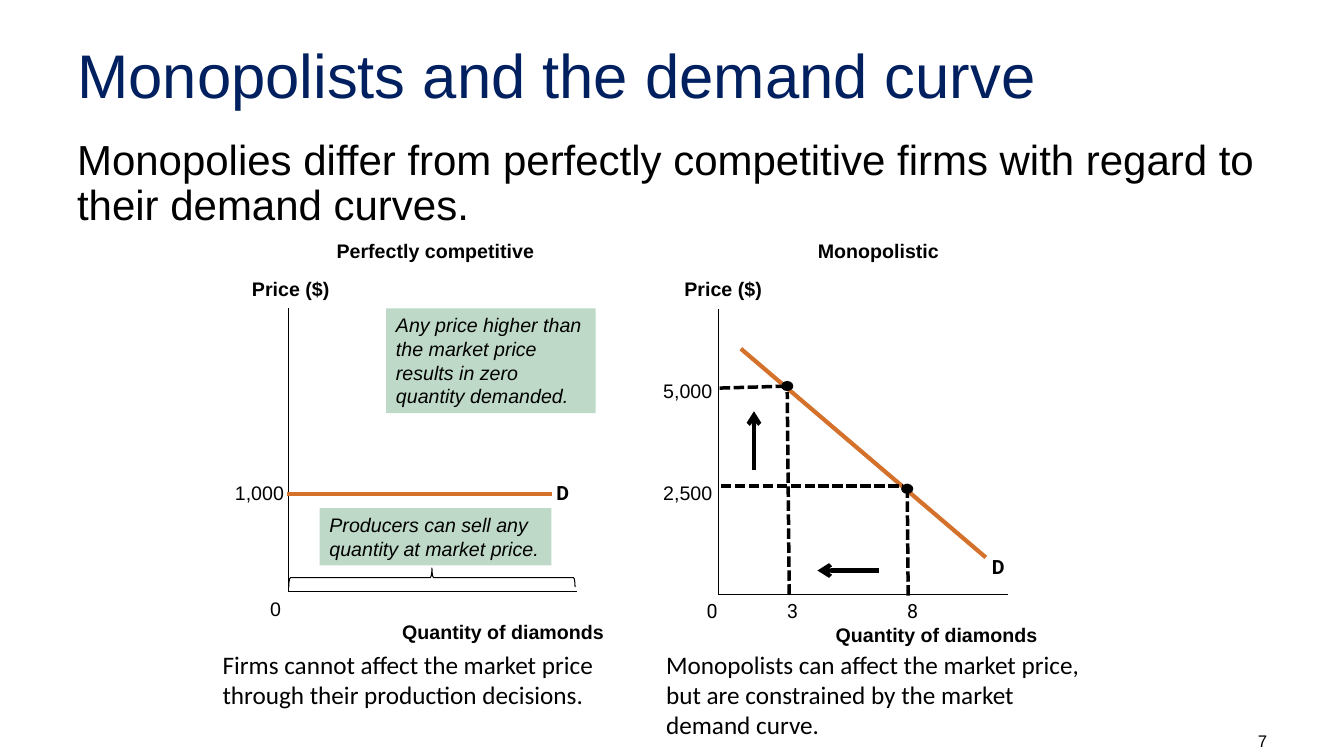
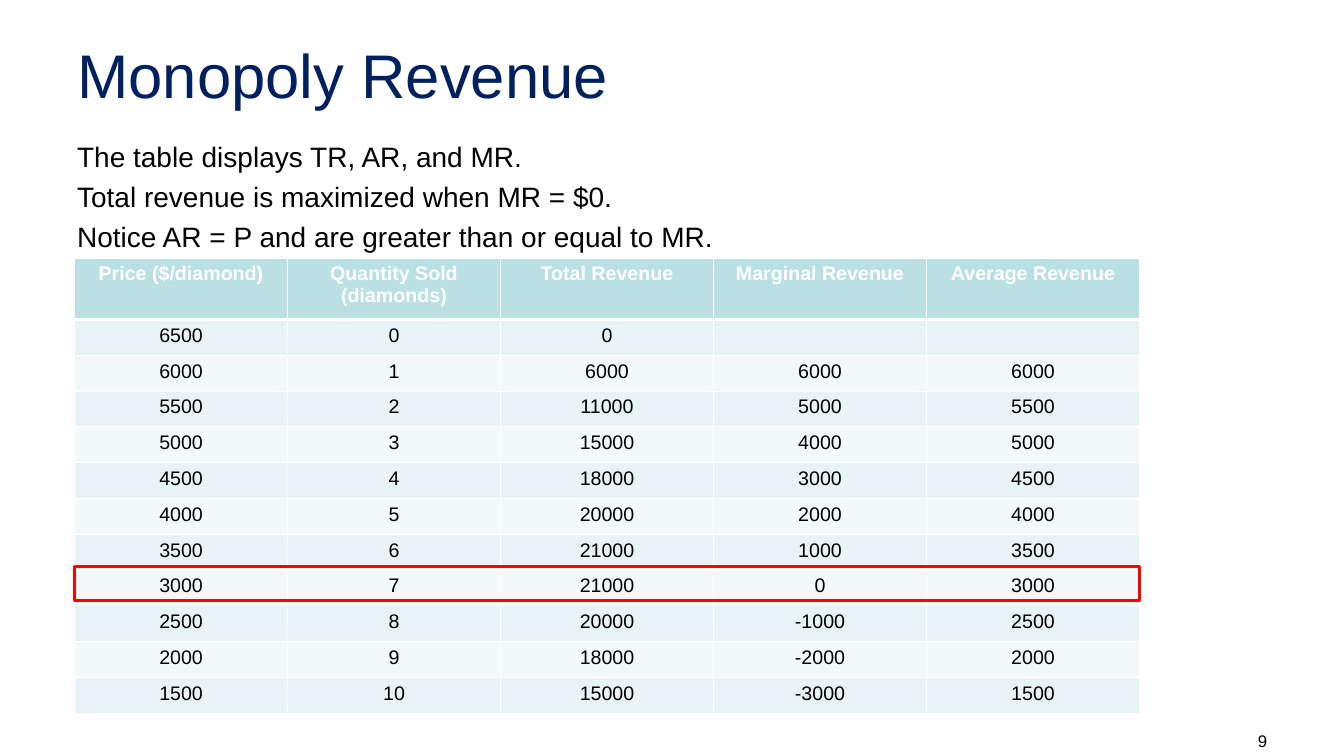
from dataclasses import dataclass

from lxml import etree
from pptx import Presentation
from pptx import util as u
from pptx.dml.color import RGBColor
from pptx.enum import dml, shapes, text
from pptx.oxml.ns import qn

# The slide is a grid of square units: 80 columns by 45 rows.
COLS, ROWS = 80, 45
UNIT = u.Inches(1) // 6
TITLE_ONLY = 5
LABEL_ROWS = 1.44

BLACK, WHITE, NAVY, RED = "000000", "FFFFFF", "002060", "FF0000"
DEMAND, NOTE = "D4712B", "BED9C7"
HEADER, BANDS = "BBE0E3", ("E7F3F4", "F3F9FA")

LEFT, CENTER, RIGHT = text.PP_ALIGN.LEFT, text.PP_ALIGN.CENTER, text.PP_ALIGN.RIGHT
TOP, MIDDLE, BOTTOM = text.MSO_ANCHOR.TOP, text.MSO_ANCHOR.MIDDLE, text.MSO_ANCHOR.BOTTOM


@dataclass(frozen=True)
class Box:
    """A rectangle in grid units."""
    col: float
    row: float
    cols: float
    rows: float

    def emu(self) -> list[int]:
        return [grid(n) for n in (self.col, self.row, self.cols, self.rows)]


@dataclass(frozen=True)
class Style:
    size: float = 14
    font: str = "Arial"
    color: str = BLACK
    bold: bool = False
    italic: bool = False
    align: text.PP_ALIGN = LEFT
    before: float = 0
    spacing: float = 1.0


@dataclass(frozen=True)
class Label:
    """A one-line chart label without margins."""
    words: str
    col: float
    row: float
    cols: float
    style: Style


@dataclass(frozen=True)
class Line:
    x1: float
    y1: float
    x2: float
    y2: float
    color: str = BLACK
    width: float = 1
    dashed: bool = False
    arrow: bool = False


PLAIN = Style()
BOLD = Style(bold=True)
ITALIC = Style(italic=True)
TICK = Style(font="Roboto")
CURVE_NAME = Style(font="Roboto", bold=True)
HEADING = Style(bold=True, align=CENTER)
CAPTION = Style(size=18, font="Calibri")
TITLE = Style(size=44, color=NAVY)
LEAD = Style(size=30, before=6, spacing=0.9)
POINTS = Style(size=20, before=4.6)
FOOTER = Style(size=12, align=RIGHT)
HEADER_CELL = Style(color=WHITE, bold=True, align=CENTER)
BODY_CELL = Style(align=CENTER)

TITLE_BOX = Box(4, 1.8, 72, 5.2)
BODY_BOX = Box(4, 8, 72, 33.5)
NUMBER_BOX = Box(69.36, 43.5, 6.66, 1.5)

LINES = [
    Line(17.16, 35.22, 17.16, 18.36),
    Line(17.16, 35.22, 34.32, 35.22),
    Line(17.1, 29.4, 32.88, 29.4, DEMAND, 3),
    Line(42.78, 35.4, 42.78, 18.42),
    Line(42.78, 35.4, 60, 35.4),
    Line(44.1, 20.76, 58.68, 33.18, DEMAND, 3),
    Line(46.98, 35.4, 46.86, 23.34, width=2.5, dashed=True),
    Line(42.84, 23.1, 46.98, 22.98, width=2.5, dashed=True),
    Line(42.9, 28.92, 53.76, 28.92, width=2.5, dashed=True),
    Line(54.06, 35.46, 54, 28.8, width=2.5, dashed=True),
    Line(52.32, 33.96, 48.66, 33.96, width=3, arrow=True),
    Line(44.88, 27.96, 44.88, 24.48, width=3, arrow=True),
]
DOTS = [Box(46.5, 22.68, 0.72, 0.6), Box(53.64, 28.8, 0.72, 0.6)]
LABELS = [
    Label("Price ($)", 15, 16.5, 4.62, BOLD),
    Label("1,000", 13.98, 28.62, 2.94, PLAIN),
    Label("0", 16.08, 35.52, 0.66, PLAIN),
    Label("D", 33.12, 28.62, 0.84, CURVE_NAME),
    Label("Quantity of diamonds", 23.94, 36.9, 12.06, BOLD),
    Label("Price ($)", 40.74, 16.5, 4.62, BOLD),
    Label("5,000", 39.48, 22.56, 2.94, PLAIN),
    Label("2,500", 39.48, 28.62, 2.94, PLAIN),
    Label("0", 42.06, 35.64, 0.66, TICK),
    Label("3", 46.86, 35.64, 0.66, TICK),
    Label("8", 54, 35.64, 0.66, TICK),
    Label("D", 59.04, 33.06, 0.84, CURVE_NAME),
    Label("Quantity of diamonds", 49.74, 37.08, 12.06, BOLD),
]
TEXTS = [
    ("Perfectly competitive", Box(13.98, 13.92, 23.88, 2.04), HEADING),
    ("Monopolistic", Box(43.14, 13.92, 18.3, 2.04), HEADING),
    ("Firms cannot affect the market price through their production decisions.",
     Box(12.66, 38.34, 25.2, 4.26), CAPTION),
    ("Monopolists can affect the market price, but are constrained by the "
     "market demand curve.", Box(39.06, 38.34, 25.92, 6.06), CAPTION),
]
NOTES = [
    ("Any price higher than the market price results in zero quantity demanded.",
     Box(22.98, 18.36, 12.48, 6.24)),
    ("Producers can sell any quantity at market price.",
     Box(19.02, 30.24, 13.8, 3.42)),
]
BRACE = Box(25.14, 25.86, 1.14, 17.04)

REVENUE_HEADS = ["Price ($/diamond)", "Quantity Sold (diamonds)", "Total Revenue",
                 "Marginal Revenue", "Average Revenue"]
REVENUE_ROWS = [
    (6500, 0, 0, "", ""),
    (6000, 1, 6000, 6000, 6000),
    (5500, 2, 11000, 5000, 5500),
    (5000, 3, 15000, 4000, 5000),
    (4500, 4, 18000, 3000, 4500),
    (4000, 5, 20000, 2000, 4000),
    (3500, 6, 21000, 1000, 3500),
    (3000, 7, 21000, 0, 3000),
    (2500, 8, 20000, -1000, 2500),
    (2000, 9, 18000, -2000, 2000),
    (1500, 10, 15000, -3000, 1500),
]
TABLE_BOX = Box(4.44, 15.36, 63.4, 27.12)
HEADER_ROWS = 3.66
MAXIMUM_BOX = Box(4.44, 33.72, 63.4, 2.04)


def grid(n: float) -> int:
    return round(n * UNIT)


def rgb(color: str) -> RGBColor:
    return RGBColor.from_string(color)


def write(tf, lines: list[str], style: Style) -> None:
    """Fill a text frame, one paragraph a line."""
    for i, line in enumerate(lines):
        p = tf.add_paragraph() if i else tf.paragraphs[0]
        p.alignment = style.align
        p.space_before = u.Pt(style.before)
        p.line_spacing = style.spacing
        if not line:
            etree.SubElement(p._p, qn("a:endParaRPr"), sz=str(style.size * 100))
            continue
        r = p.add_run()
        r.text = line
        r.font.size = u.Pt(style.size)
        r.font.name = style.font
        r.font.bold = style.bold
        r.font.italic = style.italic
        r.font.color.rgb = rgb(style.color)


def add_text(s, lines: list[str], box: Box, style: Style, anchor=TOP) -> None:
    tf = s.shapes.add_textbox(*box.emu()).text_frame
    tf.word_wrap = True
    tf.vertical_anchor = anchor
    write(tf, lines, style)


def add_label(s, label: Label) -> None:
    box = Box(label.col, label.row, label.cols, LABEL_ROWS)
    tf = s.shapes.add_textbox(*box.emu()).text_frame
    tf.word_wrap = False
    tf.margin_left = tf.margin_right = tf.margin_top = tf.margin_bottom = 0
    write(tf, [label.words], label.style)


def add_line(s, line: Line) -> None:
    ends = [grid(n) for n in (line.x1, line.y1, line.x2, line.y2)]
    sp = s.shapes.add_connector(shapes.MSO_CONNECTOR.STRAIGHT, *ends)
    sp.line.color.rgb = rgb(line.color)
    sp.line.width = u.Pt(line.width)
    if line.dashed:
        sp.line.dash_style = dml.MSO_LINE.SQUARE_DOT
    if line.arrow:
        etree.SubElement(sp.line._get_or_add_ln(), qn("a:tailEnd"), type="arrow")
    etree.SubElement(sp._element.spPr, qn("a:effectLst"))


def add_shape(s, kind, box: Box, fill: str = "", line: str = "", width: float = 1):
    sp = s.shapes.add_shape(kind, *box.emu())
    sp.shadow.inherit = False
    if fill:
        sp.fill.solid()
        sp.fill.fore_color.rgb = rgb(fill)
    else:
        sp.fill.background()
    if line:
        sp.line.color.rgb = rgb(line)
        sp.line.width = u.Pt(width)
    else:
        sp.line.fill.background()
    return sp


def add_borders(cell, bottom: float) -> None:
    """Draw white cell borders, 1 pt but for the bottom one."""
    tc_pr = cell._tc.get_or_add_tcPr()
    for i, (side, width) in enumerate(
            [("lnL", 1), ("lnR", 1), ("lnT", 1), ("lnB", bottom)]):
        ln = etree.Element(qn(f"a:{side}"), w=str(u.Pt(width)))
        fill = etree.SubElement(ln, qn("a:solidFill"))
        etree.SubElement(fill, qn("a:srgbClr"), val=WHITE)
        tc_pr.insert(i, ln)


def add_table(s, box: Box, heads: list[str], rows: list[tuple]) -> None:
    table = s.shapes.add_table(len(rows) + 1, len(heads), *box.emu()).table
    for column in table.columns:
        column.width = grid(box.cols / len(heads))
    for i, values in enumerate([heads, *rows]):
        height = (box.rows - HEADER_ROWS) / len(rows) if i else HEADER_ROWS
        table.rows[i].height = grid(height)
        for j, value in enumerate(values):
            cell = table.cell(i, j)
            cell.fill.solid()
            cell.fill.fore_color.rgb = rgb(BANDS[(i - 1) % 2] if i else HEADER)
            write(cell.text_frame, [str(value)], BODY_CELL if i else HEADER_CELL)
            add_borders(cell, 3 if i == 0 else 1)


def add_slide(prs, title: str, body: list[str], body_style: Style, number: int):
    s = prs.slides.add_slide(prs.slide_layouts[TITLE_ONLY])
    sp = s.shapes.title
    sp.left, sp.top, sp.width, sp.height = TITLE_BOX.emu()
    sp.text_frame.vertical_anchor = MIDDLE
    write(sp.text_frame, [title], TITLE)
    add_text(s, body, BODY_BOX, body_style)
    add_text(s, [str(number)], NUMBER_BOX, FOOTER, BOTTOM)
    return s


def build_demand_slide(prs) -> None:
    s = add_slide(prs, "Monopolists and the demand curve",
                  ["Monopolies differ from perfectly competitive firms with "
                   "regard to their demand curves."], LEAD, 7)
    for line in LINES:
        add_line(s, line)
    for dot in DOTS:
        add_shape(s, shapes.MSO_SHAPE.OVAL, dot, BLACK)
    for label in LABELS:
        add_label(s, label)
    for words, box, style in TEXTS:
        add_text(s, [words], box, style)
    for words, box in NOTES:
        tf = add_shape(s, shapes.MSO_SHAPE.RECTANGLE, box, NOTE).text_frame
        tf.word_wrap = True
        tf.vertical_anchor = TOP
        write(tf, [words], ITALIC)
    brace = add_shape(s, shapes.MSO_SHAPE.LEFT_BRACE, BRACE, line=BLACK, width=0.75)
    brace.rotation = 90


def build_revenue_slide(prs) -> None:
    s = add_slide(prs, "Monopoly Revenue",
                  ["The table displays TR, AR, and MR.",
                   "Total revenue is maximized when MR = $0.",
                   "Notice AR = P and are greater than or equal to MR."], POINTS, 9)
    add_table(s, TABLE_BOX, REVENUE_HEADS, REVENUE_ROWS)
    add_shape(s, shapes.MSO_SHAPE.RECTANGLE, MAXIMUM_BOX, line=RED, width=2.25)


def main() -> None:
    prs = Presentation()
    prs.slide_width, prs.slide_height = grid(COLS), grid(ROWS)
    build_demand_slide(prs)
    build_revenue_slide(prs)
    prs.save("out.pptx")


if __name__ == "__main__":
    main()
